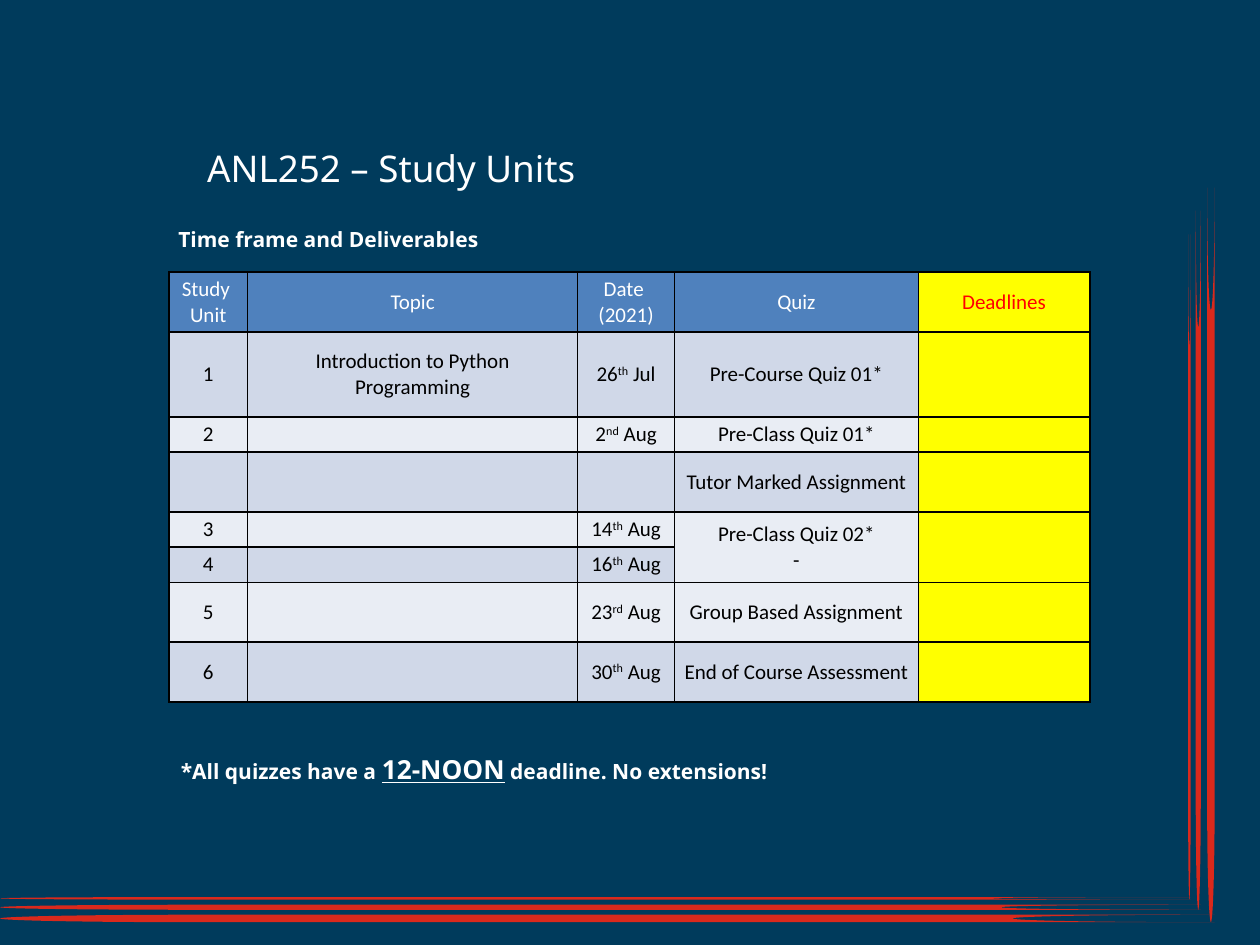
from dataclasses import dataclass

from lxml.etree import SubElement
from pptx import Presentation
from pptx.dml.color import RGBColor
from pptx.enum.shapes import MSO_SHAPE as Preset
from pptx.enum.text import MSO_ANCHOR as Anchor, PP_ALIGN as Align
from pptx.oxml.ns import qn
from pptx.slide import Slide
from pptx.table import _Cell as Cell
from pptx.util import Pt

NAVY = RGBColor(0x00, 0x3B, 0x5C)
RED = RGBColor(0xDA, 0x29, 0x1C)
WHITE = RGBColor(0xFF, 0xFF, 0xFF)
BLACK = RGBColor(0x00, 0x00, 0x00)
HEADER_BLUE = RGBColor(0x4F, 0x81, 0xBD)
BAND_DARK = RGBColor(0xD0, 0xD8, 0xE8)
BAND_LIGHT = RGBColor(0xE9, 0xED, 0xF4)
YELLOW = RGBColor(0xFF, 0xFF, 0x00)
DEADLINE_RED = RGBColor(0xFF, 0x00, 0x00)

SLIDE_WIDTH, SLIDE_HEIGHT = 720, 540
INSET_X, INSET_Y = 5.4, 2.7


@dataclass(frozen=True)
class Stripe:
    top: float
    thickness: float
    across: float
    upward: float


@dataclass(frozen=True)
class Span:
    text: str
    size: float = 12
    underline: bool = False


@dataclass(frozen=True)
class Line:
    left: float
    top: float
    height: float
    spans: tuple[Span, ...]
    bold: bool = True


STRIPES = (
    Stripe(512.6, 1.5, 680.4, 380.2),
    Stripe(517, 2.9, 686.2, 399.6),
    Stripe(522.7, 4.3, 694.1, 419.8),
)
LINES = (
    Line(113, 80.6, 36, (Span("ANL252 – Study Units", 21),), bold=False),
    Line(96.5, 126.7, 18, (Span("Time frame and Deliverables"),)),
    Line(97.9, 427.7, 18, (
        Span("*All quizzes have a "),
        Span("12-NOON", 15, underline=True),
        Span(" deadline. No extensions!"),
    )),
)
COLUMN_WIDTHS = (45, 188.6, 55.4, 139.3, 98)
ROW_HEIGHTS = (34.2, 48.6, 20.1, 34.2, 20.1, 20.1, 34.2, 34.2)
UNITS = (
    ("Study \nUnit", "Topic", "Date \n(2021)", "Quiz", "Deadlines"),
    ("1", "Introduction to Python Programming", "26^th^ Jul", "Pre-Course Quiz 01*", ""),
    ("2", "", "2^nd^ Aug", "Pre-Class Quiz 01*", ""),
    ("", "", "", "Tutor Marked Assignment", ""),
    ("3", "", "14^th^ Aug", "Pre-Class Quiz 02*\n-", ""),
    ("4", "", "16^th^ Aug", "", ""),
    ("5", "", "23^rd^ Aug", "Group Based Assignment", ""),
    ("6", "", "30^th^ Aug", "End of Course Assessment", ""),
)
QUIZ, DEADLINES = 3, 4
SHARED_ROWS = (4, 5)


def draw_bar(slide: Slide, preset: Preset, left: float, top: float,
             width: float, height: float, color: RGBColor, turn: float = 0) -> None:
    bar = slide.shapes.add_shape(preset, Pt(left), Pt(top), Pt(width), Pt(height))
    bar.shadow.inherit = False
    bar.fill.solid()
    bar.fill.fore_color.rgb = color
    bar.line.fill.background()
    bar.rotation = turn


def draw_stripe(slide: Slide, stripe: Stripe) -> None:
    thick = stripe.thickness
    draw_bar(slide, Preset.FLOWCHART_STORED_DATA, 0, stripe.top, stripe.across, thick, RED)
    center_x = stripe.across - thick / 2
    center_y = stripe.top + thick - stripe.upward / 2
    draw_bar(slide, Preset.FLOWCHART_STORED_DATA, center_x - stripe.upward / 2,
             center_y - thick / 2, stripe.upward, thick, RED, turn=270)


def draw_line(slide: Slide, line: Line) -> None:
    frame = slide.shapes.add_textbox(
        Pt(line.left), Pt(line.top), Pt(445.7), Pt(line.height)).text_frame
    frame.word_wrap = True
    frame.margin_left = frame.margin_right = Pt(INSET_X)
    frame.margin_top = frame.margin_bottom = Pt(INSET_Y)
    sentence = frame.paragraphs[0]
    sentence.font.name = "Noto Sans"
    sentence.font.bold = line.bold
    sentence.font.color.rgb = WHITE
    for span in line.spans:
        run = sentence.add_run()
        run.text = span.text
        run.font.size = Pt(span.size)
        run.font.underline = span.underline


def cell_colors(row: int, column: int) -> tuple[RGBColor, RGBColor]:
    if column == DEADLINES:
        return YELLOW, DEADLINE_RED
    if row == 0:
        return HEADER_BLUE, WHITE
    return (BAND_DARK if row % 2 else BAND_LIGHT), BLACK


def outline_cell(cell: Cell) -> None:
    properties = cell._tc.get_or_add_tcPr()
    for position, side in enumerate(("a:lnL", "a:lnR", "a:lnT", "a:lnB")):
        border = properties.makeelement(qn(side), {"w": str(Pt(1))})
        fill = SubElement(border, qn("a:solidFill"))
        SubElement(fill, qn("a:srgbClr"), val=str(BLACK))
        properties.insert(position, border)


def fill_cell(cell: Cell, text: str, background: RGBColor, ink: RGBColor) -> None:
    cell.fill.solid()
    cell.fill.fore_color.rgb = background
    cell.vertical_anchor = Anchor.MIDDLE
    cell.margin_left = cell.margin_right = Pt(INSET_X)
    cell.margin_top = cell.margin_bottom = Pt(INSET_Y)
    outline_cell(cell)
    cell.text = "\n".join("" for _ in text.split("\n"))
    for paragraph, wording in zip(cell.text_frame.paragraphs, text.split("\n")):
        paragraph.alignment = Align.CENTER
        paragraph.font.name = "Calibri"
        paragraph.font.size = Pt(12)
        paragraph.font.color.rgb = ink
        if not wording:
            SubElement(paragraph._p, qn("a:endParaRPr"), sz="1200")
            continue
        for index, piece in enumerate(wording.split("^")):
            run = paragraph.add_run()
            run.text = piece
            if index % 2:
                run._r.get_or_add_rPr().set("baseline", "30000")


def draw_schedule(slide: Slide) -> None:
    schedule = slide.shapes.add_table(
        len(UNITS), len(COLUMN_WIDTHS), Pt(96.5), Pt(155.5),
        Pt(sum(COLUMN_WIDTHS)), Pt(sum(ROW_HEIGHTS))).table
    schedule.first_row = schedule.horz_banding = False
    for column, width in zip(schedule.columns, COLUMN_WIDTHS):
        column.width = Pt(width)
    for row, height in zip(schedule.rows, ROW_HEIGHTS):
        row.height = Pt(height)
    for row, unit in enumerate(UNITS):
        for column, text in enumerate(unit):
            fill_cell(schedule.cell(row, column), text, *cell_colors(row, column))
    first, last = SHARED_ROWS
    for column in (QUIZ, DEADLINES):
        schedule.cell(first, column).merge(schedule.cell(last, column))


def main() -> None:
    """Build the study unit schedule slide."""
    deck = Presentation()
    deck.slide_width, deck.slide_height = Pt(SLIDE_WIDTH), Pt(SLIDE_HEIGHT)
    slide = deck.slides.add_slide(deck.slide_layouts[6])
    draw_bar(slide, Preset.RECTANGLE, 0, 0, SLIDE_WIDTH, SLIDE_HEIGHT, NAVY)
    for stripe in STRIPES:
        draw_stripe(slide, stripe)
    for line in LINES:
        draw_line(slide, line)
    draw_schedule(slide)
    deck.save("out.pptx")


if __name__ == "__main__":
    main()
